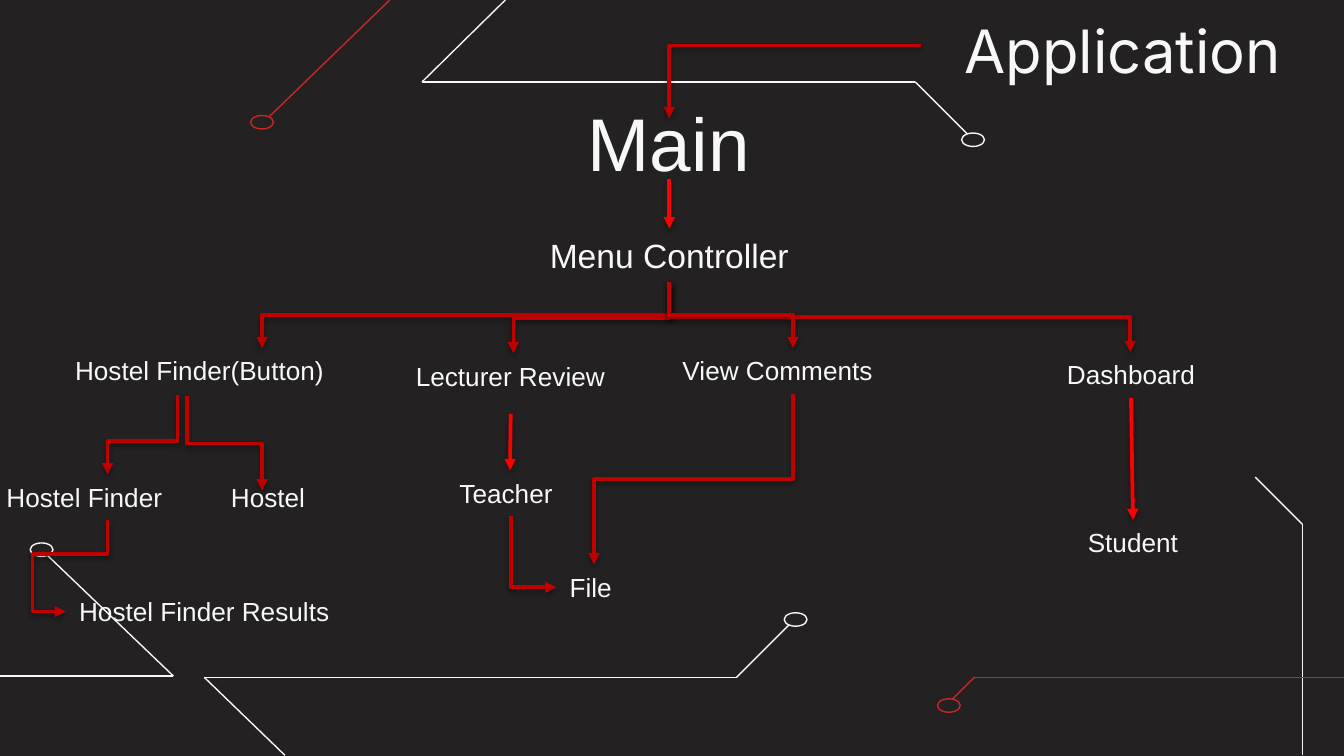
from itertools import pairwise
from lxml.etree import SubElement as Sub
from pptx import Presentation
from pptx.dml.color import RGBColor as Rgb
from pptx.enum.shapes import MSO_CONNECTOR as Link, MSO_SHAPE as Form
from pptx.enum.text import MSO_ANCHOR as Anchor, PP_ALIGN as Align
from pptx.oxml.ns import qn
from pptx.util import Inches, Pt

COLORS = {"back": "232121", "white": "F8F8F8", "trace": "C92727",
          "elbow": "C00000", "arrow": "FF0000", "shade": "000000"}


def color(name):
    return Rgb.from_string(COLORS[name])


def wire(slide, kind, start, end, tone, width, shadow=False):
    """Draw a connector, with an arrowhead and soft shadow if asked."""
    link = slide.shapes.add_connector(
        kind, *(Inches(v) for v in (*start, *end)))
    link.line.color.rgb = color(tone)
    link.line.width = Pt(width)
    effect = Sub(link._element.spPr, qn("a:effectLst"))
    if shadow:
        Sub(link.line._ln, qn("a:tailEnd"), type="triangle")
        shade = Sub(effect, qn("a:outerShdw"), blurRad="40000", dist="20000",
                    dir="5400000", rotWithShape="0")
        tint = Sub(shade, qn("a:srgbClr"), val=COLORS["shade"])
        Sub(tint, qn("a:alpha"), val="38000")
    return link


def elbow(slide, start, end, bends=2, adjust=(), down=True):
    """Draw a bent arrow that leaves downward, or else to the left."""
    (x1, y1), (x2, y2) = start, end
    wide, high = abs(x2 - x1), abs(y2 - y1)
    if down:
        # A turned connector swaps its sides about the same centre
        wide, high = high, wide
        frame = ({"rot": "16200000", "flipH": "1"} if x2 > x1
                 else {"rot": "5400000"})
    else:
        frame = {"rot": "10800000", "flipV": "1"}
    left, top = (x1 + x2 - wide) / 2, (y1 + y2 - high) / 2
    link = wire(slide, Link.ELBOW, (left, top), (left + wide, top + high),
                "elbow", 2, True)
    props = link._element.spPr
    for key, value in frame.items():
        props.find(qn("a:xfrm")).set(key, value)
    shape = props.find(qn("a:prstGeom"))
    shape.set("prst", f"bentConnector{bends + 1}")
    for spot, part in enumerate(adjust, 1):
        Sub(shape.find(qn("a:avLst")), qn("a:gd"), name=f"adj{spot}",
            fmla=f"val {round(part * 100000)}")


def label(slide, box, text, size=14, font="Arial", align=Align.CENTER, **style):
    shape = slide.shapes.add_textbox(*(Inches(v) for v in box))
    frame = shape.text_frame
    for key, value in {"word_wrap": True, **style}.items():
        setattr(frame, key, value)
    para = frame.paragraphs[0]
    para.alignment = align
    run = para.add_run()
    run.text = text
    for key, value in {"size": Pt(size), "name": font}.items():
        setattr(run.font, key, value)
    run.font.color.rgb = color("white")
    return shape


def circuit(slide, box, points, ring=None, tone="white"):
    """Draw a thin trace, and a ring near one of its ends."""
    x, y = box[:2]
    for start, end in pairwise((x + a, y + b) for a, b in points):
        wire(slide, Link.STRAIGHT, start, end, tone, 0.75)
    if ring:
        wide, high = 0.17, 0.1
        spot = (x + ring[0] - wide / 2, y + ring[1] - high / 2, wide, high)
        dot = slide.shapes.add_shape(Form.OVAL, *(Inches(v) for v in spot))
        dot.shadow.inherit = False
        dot.fill.solid()
        dot.fill.fore_color.rgb = color("back")
        dot.line.color.rgb = color(tone)
        dot.line.width = Pt(0.75)


def header(slide, box):
    """Place the two headings and the arrow between them."""
    x, y = box[:2]
    label(slide, (x + 4.24, y + 1.12, 1.47, 0.37), "Main ", 40,
          vertical_anchor=Anchor.BOTTOM, margin_top=Inches(0.1),
          margin_bottom=Inches(0.1))
    label(slide, (x + 6.85, y, 2.84, 0.74), "Application", 32, "Inter",
          margin_left=Inches(0.27), margin_top=Inches(0.1))
    elbow(slide, (x + 6.85, y + 0.34), (x + 4.98, y + 0.88), 1, down=False)


def tree(slide, box):
    """Place the class names and the arrows that join them."""
    x, y = box[:2]

    def at(a, b):
        return x + a, y + b

    # Names: left, top, width, text, alignment
    mid, left = Align.CENTER, Align.LEFT
    names = {}
    for a, b, wide, text, align in (
            (0.46, 1.09, 2.98, "Hostel Finder(Button)", left),
            (2.95, 1.13, 1.75, "Lecturer Review ", mid),
            (4.98, 1.09, 1.84, "View Comments", left),
            (7.82, 1.12, 1.19, "Dashboard", mid),
            (-0.05, 2.03, 1.7, "Hostel Finder", left),
            (1.62, 2.03, 0.86, "Hostel", left),
            (3.32, 2, 0.95, "Teacher", left),
            (4.14, 2.7, 0.55, "File", left),
            (7.95, 2.37, 0.96, "Student", mid),
            (0.49, 2.88, 2.46, "Hostel Finder Results", left)):
        names[text] = label(slide, (*at(a, b), wide, 0.34), text, align=align)
    menu = label(slide, (*at(3.72, 0.2), 2.52, 0.4), "Menu Controller", 18)

    # Menu to its four branches
    for a, b in ((1.95, 1.09), (3.82, 1.13), (8.41, 1.12), (5.9, 1.09)):
        elbow(slide, at(4.98, 0.6), at(a, b), adjust=[0.5])

    # Branches to their parts
    for start, end, bends, adjust in (
            ((1.39, 1.45), (1.95, 2.15), 2, [0.5]),
            ((1.32, 1.44), (0.8, 2.03), 2, [0.58]),
            ((0.8, 2.37), (0.49, 3.05), 3, [0.37, 1.8]),
            ((5.9, 1.43), (4.42, 2.7), 2, [0.5]),
            ((3.8, 2.34), (4.14, 2.87), 1, [])):
        elbow(slide, at(*start), at(*end), bends, adjust)

    # Straight arrows, joined where they meet a name
    for start, end, source, target in (
            ((4.98, -0.17), (4.98, 0.2), None, menu),
            ((3.8, 1.58), (3.8, 2), None, names["Teacher"]),
            ((8.41, 1.46), (8.43, 2.37), names["Dashboard"], names["Student"])):
        link = wire(slide, Link.STRAIGHT, at(*start), at(*end), "arrow", 2, True)
        if source:
            link.begin_connect(source, 2)
        link.end_connect(target, 0)


def main():
    deck = Presentation()
    # Widescreen, 16 to 9
    deck.slide_width = Inches(10)
    deck.slide_height = Inches(10) * 9 // 16
    slide = deck.slides.add_slide(deck.slide_layouts[6])
    slide.background.fill.solid()
    slide.background.fill.fore_color.rgb = color("back")

    # Circuit traces around the edges
    circuit(slide, (9.34, 3.55), [(0, 0), (0.35, 0.35), (0.35, 2.07)])
    circuit(slide, (0, 4.04), [(0.34, 0.08), (1.29, 0.99), (0, 0.99)],
            (0.31, 0.05))
    circuit(slide, (1.86, 0), [(1.04, 0), (0.09, 0.92)], (0.09, 0.91), "trace")
    circuit(slide, (3.14, 0), [(0.62, 0), (0, 0.61), (3.67, 0.61),
                               (4.11, 1.05)], (4.1, 1.04))
    circuit(slide, (1.52, 4.56), [(0.6, 1.06), (0, 0.48), (3.96, 0.48),
                                  (4.4, 0.04)], (4.4, 0.05))
    circuit(slide, (6.98, 5.04), [(3.02, 0), (0.27, 0), (0.07, 0.2)],
            (0.08, 0.21), "trace")

    header(slide, (0, 0, 10, 1.5))
    tree(slide, (0, 1.5, 10, 3.3))
    deck.save("out.pptx")


if __name__ == "__main__":
    main()
